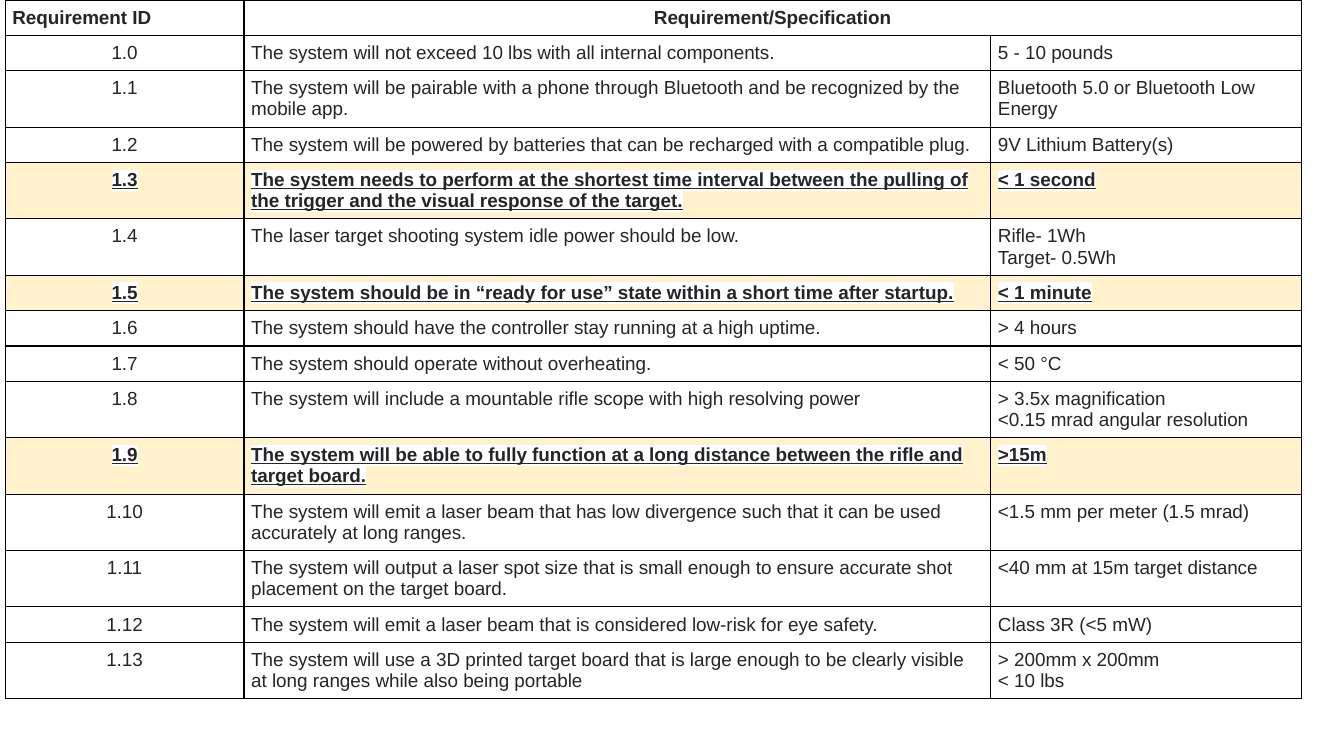
"""Build the slide with the system requirements table."""
import lxml.etree
import pptx
import pptx.dml.color
import pptx.enum.text
import pptx.oxml.ns
import pptx.util

Cm = pptx.util.Cm
RGB = pptx.dml.color.RGBColor.from_string
qn = pptx.oxml.ns.qn
COLORS = {"text": "232629", "line": "000000", "plain": "FFFFFF", "key": "FFF2CC"}
KEY_IDS = {"1.3", "1.5", "1.9"}
TWO_LINE_IDS = {"1.1", "1.3", "1.4", "1.8", "1.9", "1.10", "1.11", "1.13"}
ROWS = [
    ("Requirement ID", "Requirement/Specification", ""),
    ("1.0", "The system will not exceed 10 lbs with all internal components.",
     "5 - 10 pounds"),
    ("1.1", "The system will be pairable with a phone through Bluetooth and be "
     "recognized by the mobile app.", "Bluetooth 5.0 or Bluetooth Low Energy"),
    ("1.2", "The system will be powered by batteries that can be recharged with "
     "a compatible plug.", "9V Lithium Battery(s)"),
    ("1.3", "The system needs to perform at the shortest time interval between "
     "the pulling of the trigger and the visual response of the target.",
     "< 1 second"),
    ("1.4", "The laser target shooting system idle power should be low.",
     "Rifle- 1Wh\nTarget- 0.5Wh"),
    ("1.5", "The system should be in “ready for use” state within a short time "
     "after startup.", "< 1 minute"),
    ("1.6", "The system should have the controller stay running at a high uptime.",
     "> 4 hours"),
    ("1.7", "The system should operate without overheating.", "< 50 °C"),
    ("1.8", "The system will include a mountable rifle scope with high resolving "
     "power", "> 3.5x magnification\n<0.15 mrad angular resolution"),
    ("1.9", "The system will be able to fully function at a long distance between "
     "the rifle and target board.", ">15m"),
    ("1.10", "The system will emit a laser beam that has low divergence such that "
     "it can be used accurately at long ranges.", "<1.5 mm per meter (1.5 mrad)"),
    ("1.11", "The system will output a laser spot size that is small enough to "
     "ensure accurate shot placement on the target board.",
     "<40 mm at 15m target distance"),
    ("1.12", "The system will emit a laser beam that is considered low-risk for "
     "eye safety.", "Class 3R (<5 mW)"),
    ("1.13", "The system will use a 3D printed target board that is large enough "
     "to be clearly visible at long ranges while also being portable",
     "> 200mm x 200mm\n< 10 lbs"),
]


def add_color(parent, tag, color):
    """Add an element that holds one RGB colour."""
    el = lxml.etree.SubElement(parent, qn(tag))
    lxml.etree.SubElement(el, qn("a:srgbClr"), val=color)


prs = pptx.Presentation()
prs.slide_width, prs.slide_height = Cm(33.87), Cm(19.05)
s = prs.slides.add_slide(prs.slide_layouts[6])

widths = [6.02, 18.82, 7.82]
heights = [1.41 if row[0] in TWO_LINE_IDS else 0.88 for row in ROWS]
table = s.shapes.add_table(len(ROWS), len(widths), Cm(0.13), Cm(0),
                           Cm(sum(widths)), Cm(sum(heights))).table
table.first_row = table.horz_banding = False
for col, width in zip(table.columns, widths):
    col.width = Cm(width)
for row, height in zip(table.rows, heights):
    row.height = Cm(height)
table.cell(0, 1).merge(table.cell(0, 2))

for i, row in enumerate(ROWS):
    key = row[0] in KEY_IDS
    for j, text in enumerate(row):
        cell = table.cell(i, j)
        cell.margin_left = cell.margin_right = Cm(0.18)
        cell.margin_top = cell.margin_bottom = Cm(0.18)
        for side in ("a:lnL", "a:lnR", "a:lnT", "a:lnB"):
            ln = lxml.etree.SubElement(cell._tc.get_or_add_tcPr(), qn(side), w="12700")
            add_color(ln, "a:solidFill", COLORS["line"])
        cell.fill.solid()
        cell.fill.fore_color.rgb = RGB(COLORS["key" if key else "plain"])
        if cell.is_spanned:
            continue
        cell.text = text
        for p in cell.text_frame.paragraphs:
            if (i == 0) == (j == 1):
                p.alignment = pptx.enum.text.PP_ALIGN.LEFT
            if (i == 0 and j == 1) or (i > 0 and j == 0):
                p.alignment = pptx.enum.text.PP_ALIGN.CENTER
            p.font.name = "Arial"
            p.font.size = pptx.util.Pt(13.5)
            p.font.bold = i == 0 or key
            p.font.underline = key
            p.font.color.rgb = RGB(COLORS["text"])
            for r in p.runs:
                add_color(r._r.get_or_add_rPr(), "a:highlight", COLORS["plain"])

prs.save("out.pptx")
